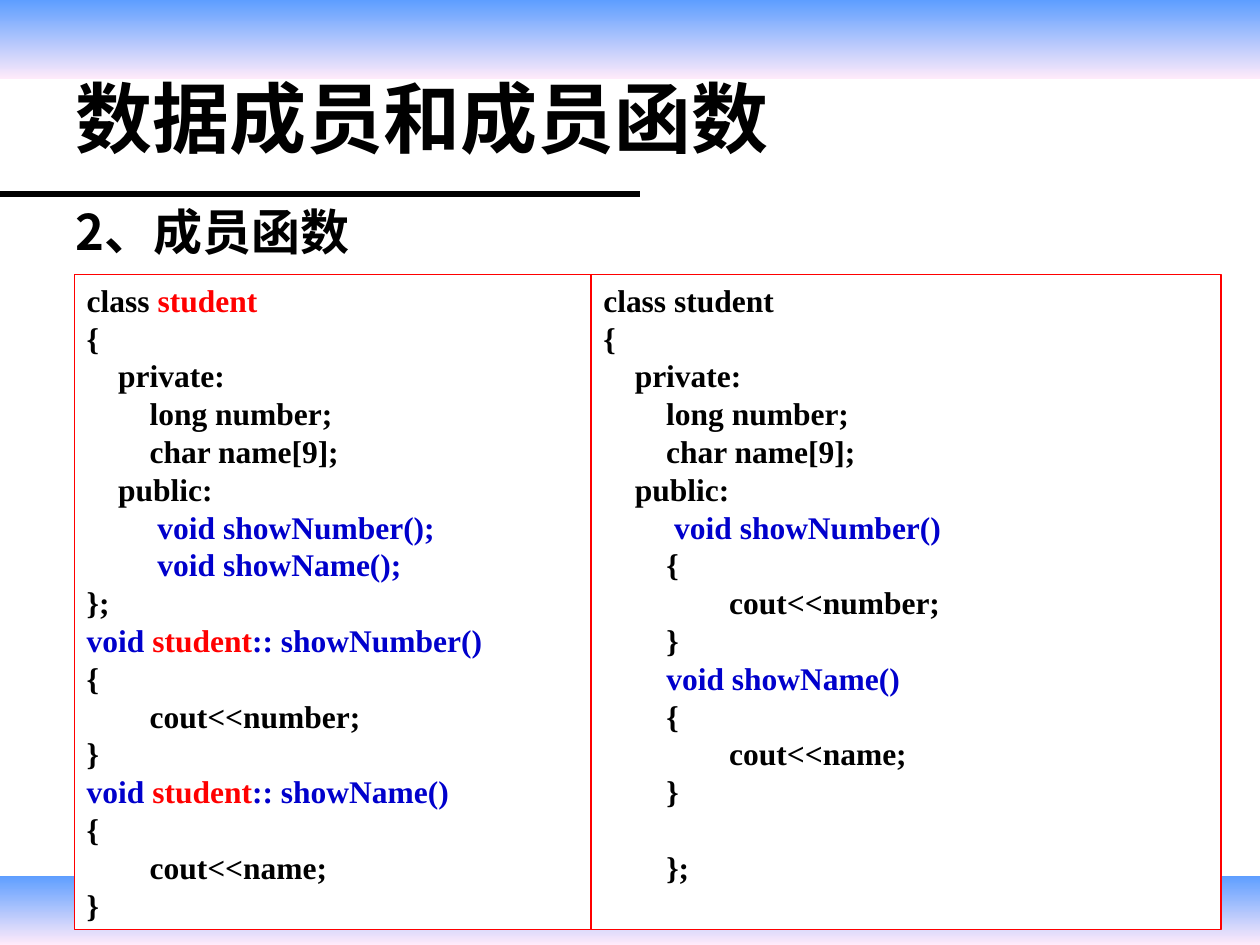
from lxml import etree
from pptx import Presentation, util as u
from pptx.dml.color import RGBColor
from pptx.enum import shapes, text
from pptx.oxml.ns import qn

PX = 9144
COLORS = {
    "black": "000000", "white": "FFFFFF", "red": "FF0000", "blue": "0000CC",
    "sky": "5E9EFF", "blush": "FFEBFA",
}
HEADING_FONT = "Noto Sans CJK SC"
CODE_FORMAT = {"name": "Times New Roman", "size": u.Pt(18), "bold": True}
CODE_LINE = u.Pt(21.6)

FIELDS = [
    [("class ", "black"), ("student", "red")],
    "{",
    "    private:",
    "        long number;",
    "        char name[9];",
    "    public:",
]
DECLARED_CODE = FIELDS + [
    [("         void showNumber();", "blue")],
    [("         void showName();", "blue")],
    "};",
]
for member in ("Number", "Name"):
    DECLARED_CODE += [
        [("void ", "blue"), ("student", "red"), (f":: show{member}()", "blue")],
        "{",
        f"        cout<<{member.lower()};",
        "}",
    ]
INLINE_HEAD = ["class student"] + FIELDS[1:]
INLINE_METHODS = [
    [(" void showNumber()", "blue")],
    "{",
    "        cout<<number;",
    "}",
    [("void showName()", "blue")],
    "{",
    "        cout<<name;",
    "}",
    "};",
]


def rgb(color):
    return RGBColor.from_string(COLORS[color])


def place(shape, box):
    for name, value in zip(("left", "top", "width", "height"), box):
        setattr(shape, name, value * PX)


def apply_format(target, values):
    for name, value in values.items():
        setattr(target, name, value)


def add_rectangle(slide, box):
    shape = slide.shapes.add_shape(
        shapes.MSO_SHAPE.RECTANGLE, *(value * PX for value in box))
    shape.shadow.inherit = False
    return shape


def add_band(slide, box):
    band = add_rectangle(slide, box)
    band.line.fill.background()
    band.fill.gradient()
    band.fill.gradient_angle = 270
    for stop, color, position in zip(
            band.fill.gradient_stops, ("sky", "blush"), (0, 1)):
        stop.color.rgb = rgb(color)
        stop.position = position


def add_rule(slide, left, top, width):
    rule = slide.shapes.add_connector(
        shapes.MSO_CONNECTOR.STRAIGHT,
        left * PX, top * PX, (left + width) * PX, top * PX)
    rule.line.color.rgb = rgb("black")
    rule.line.width = u.Pt(3)
    etree.SubElement(rule._element.spPr, qn("a:effectLst"))


def fill_heading(shape, box, words, size, anchor):
    place(shape, box)
    frame = shape.text_frame
    apply_format(frame, {
        "auto_size": text.MSO_AUTO_SIZE.NONE,
        "word_wrap": True,
        "vertical_anchor": anchor,
    })
    paragraph = frame.paragraphs[0]
    paragraph.alignment = text.PP_ALIGN.LEFT
    paragraph.space_before = u.Pt(0)
    properties = paragraph._p.get_or_add_pPr()
    properties.set("marL", "0")
    properties.set("indent", "0")
    etree.SubElement(properties, qn("a:buNone"))
    run = paragraph.add_run()
    run.text = words
    apply_format(run.font, {"name": HEADING_FONT, "size": u.Pt(size), "bold": True})
    run.font.color.rgb = rgb("black")
    east_asian = etree.SubElement(run._r.get_or_add_rPr(), qn("a:ea"))
    east_asian.set("typeface", HEADING_FONT)


def add_code_line(paragraph, line, indent):
    apply_format(paragraph, {
        "alignment": text.PP_ALIGN.LEFT, "line_spacing": CODE_LINE})
    if indent:
        paragraph._p.get_or_add_pPr().set("marL", str(indent * PX))
    segments = [(line, "black")] if isinstance(line, str) else line
    for words, color in segments:
        run = paragraph.add_run()
        run.text = words
        apply_format(run.font, CODE_FORMAT)
        run.font.color.rgb = rgb(color)


def add_code_panel(slide, box, lines, indented=()):
    panel = add_rectangle(slide, box)
    panel.fill.solid()
    panel.fill.fore_color.rgb = rgb("white")
    panel.line.color.rgb = rgb("red")
    panel.line.width = u.Pt(0.75)
    frame = panel.text_frame
    apply_format(frame, {
        "word_wrap": True, "vertical_anchor": text.MSO_ANCHOR.TOP})
    rows = [(line, 0) for line in lines] + [(line, 50) for line in indented]
    for index, (line, indent) in enumerate(rows):
        paragraph = frame.add_paragraph() if index else frame.paragraphs[0]
        add_code_line(paragraph, line, indent)
    return panel


def build_slide(presentation):
    slide = presentation.slides.add_slide(presentation.slide_layouts[1])
    title, body = slide.placeholders
    fill_heading(title, (50, 30, 900, 125), "数据成员和成员函数", 44,
                 text.MSO_ANCHOR.MIDDLE)
    fill_heading(body, (50, 155, 950, 74), "2、成员函数", 28,
                 text.MSO_ANCHOR.TOP)
    add_band(slide, (0, 0, 1000, 63))
    add_band(slide, (0, 695, 1000, 55))
    add_rule(slide, 0, 154, 508)
    add_code_panel(slide, (59, 218, 500, 520), DECLARED_CODE)
    inline_panel = add_code_panel(
        slide, (469, 218, 500, 520), INLINE_HEAD, INLINE_METHODS)
    inline_panel.text_frame.paragraphs[-1].space_before = CODE_LINE


def main():
    presentation = Presentation()
    presentation.slide_width = 1000 * PX
    presentation.slide_height = 750 * PX
    build_slide(presentation)
    presentation.save("out.pptx")


if __name__ == "__main__":
    main()
